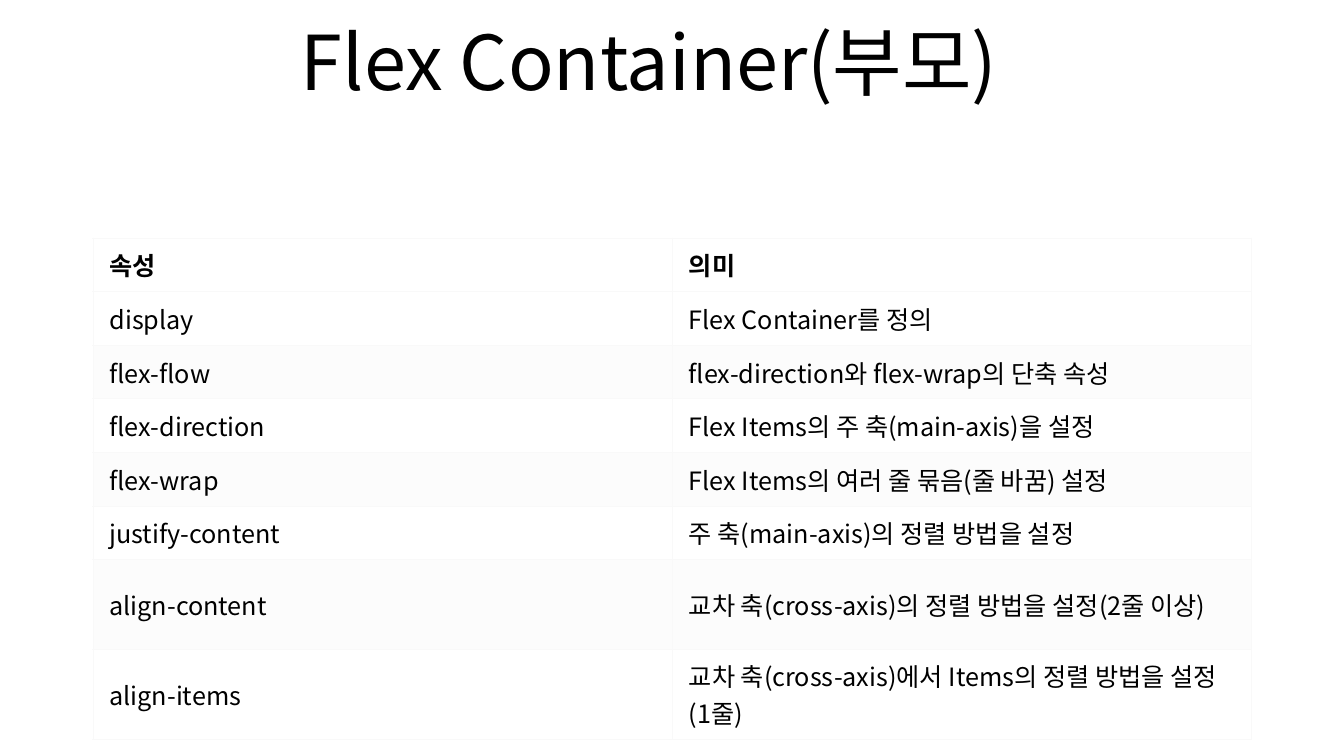
from lxml import etree
from pptx import Presentation
from pptx.dml.color import RGBColor
from pptx.enum.text import MSO_ANCHOR, MSO_AUTO_SIZE, PP_ALIGN
from pptx.oxml.ns import qn
from pptx.util import Cm, Pt

MIDDLE, BOTTOM = MSO_ANCHOR.MIDDLE, MSO_ANCHOR.BOTTOM
CENTER, NO_FIT = PP_ALIGN.CENTER, MSO_AUTO_SIZE.NONE
FONT = "Noto Sans CJK KR"
ROWS = [
    ("속성", "의미"),
    ("display", "Flex Container를 정의"),
    ("flex-flow", "flex-direction와\u00a0flex-wrap의 단축 속성"),
    ("flex-direction", "Flex Items의 주 축(main-axis)을 설정"),
    ("flex-wrap", "Flex Items의 여러 줄 묶음(줄 바꿈) 설정"),
    ("justify-content", "주 축(main-axis)의 정렬 방법을 설정"),
    ("align-content", "교차 축(cross-axis)의 정렬 방법을 설정(2줄 이상)"),
    ("align-items", "교차 축(cross-axis)에서 Items의 정렬 방법을 설정(1줄)"),
]


def rgb(value):
    return RGBColor.from_string(value)


def write(p, text, size, bold=False):
    r = p.add_run()
    r.text = text
    for name, value in {"name": FONT, "size": Pt(size), "bold": bold}.items():
        setattr(r.font, name, value)
    r.font.color.rgb = rgb("000000")
    etree.SubElement(r.font._element, qn("a:ea"), typeface=FONT)


prs = Presentation()
prs.slide_width, prs.slide_height = Cm(33.87), Cm(19.05)
s = prs.slides.add_slide(prs.slide_layouts[5])

title = s.shapes.title
box = {"left": 3.66, "top": 1.19, "width": 25.4, "height": 4.11}
for name, value in box.items():
    setattr(title, name, Cm(value))
tf = title.text_frame
frame = {"word_wrap": True, "auto_size": NO_FIT, "vertical_anchor": BOTTOM,
         "margin_bottom": Cm(2.6)}
for name, value in frame.items():
    setattr(tf, name, value)
p = tf.paragraphs[0]
p.alignment, p.line_spacing = CENTER, 0.9
write(p, "Flex Container(부모)", 54)

table = s.shapes.add_table(len(ROWS), 2, Cm(2.34), Cm(6), Cm(29.2), Cm(12.62)).table
table.first_row = table.horz_banding = False
for column in table.columns:
    column.width = Cm(14.6)

cell_format = {"vertical_anchor": MIDDLE, "margin_left": Cm(0.42), "margin_right": Cm(0.42),
               "margin_top": Cm(0.2), "margin_bottom": Cm(0.2)}
for i, texts in enumerate(ROWS):
    table.rows[i].height = Cm(1.35 if i < 6 else 2.26)
    for j, text in enumerate(texts):
        cell = table.cell(i, j)
        for name, value in cell_format.items():
            setattr(cell, name, value)
        tcPr = cell._tc.get_or_add_tcPr()
        for side in "LRTB":
            ln = etree.SubElement(tcPr, qn(f"a:ln{side}"), w=str(Pt(0.6)))
            fill = etree.SubElement(ln, qn("a:solidFill"))
            etree.SubElement(fill, qn("a:srgbClr"), val="F9F9F9")
        if i == 0:
            cell.fill.background()
        else:
            cell.fill.solid()
            cell.fill.fore_color.rgb = rgb("FFFFFF" if i % 2 else "FCFCFC")
        write(cell.text_frame.paragraphs[0], text, 18, bold=i == 0)

prs.save("out.pptx")
